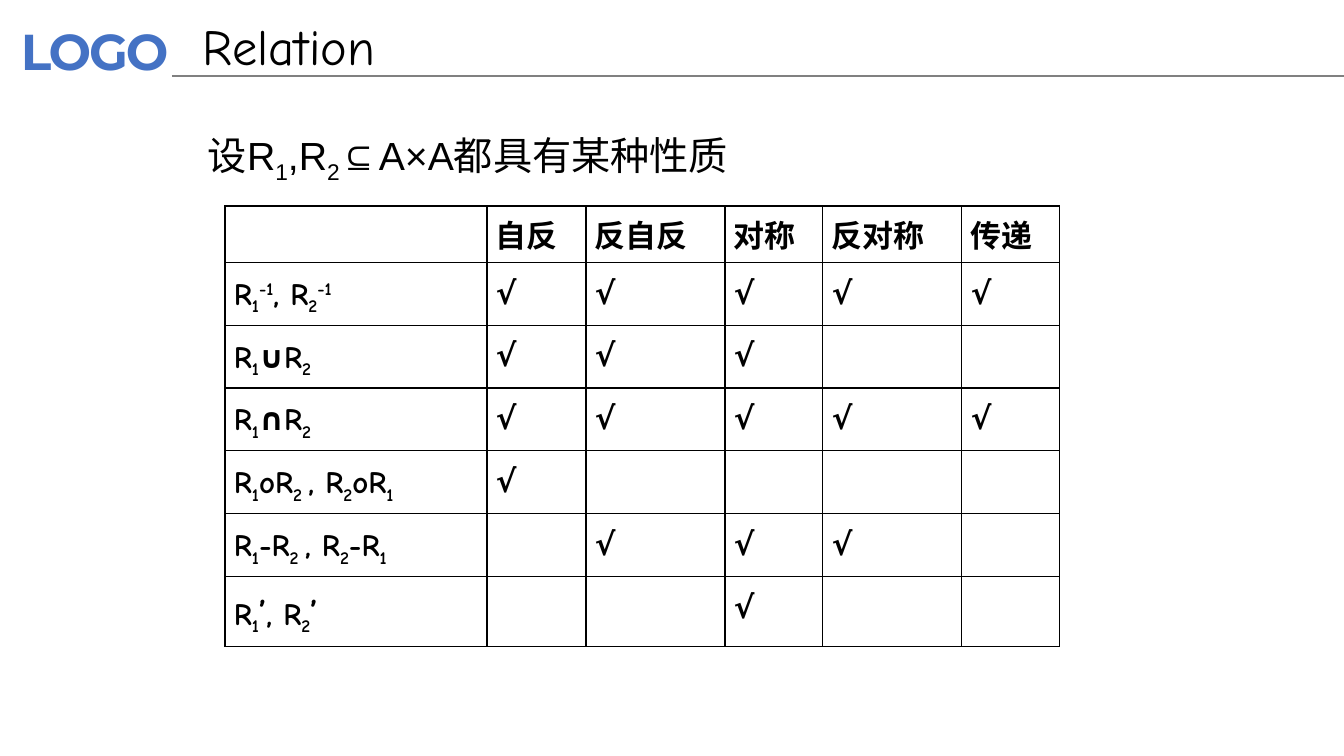
from dataclasses import dataclass

from lxml.etree import SubElement
from pptx import Presentation
from pptx.dml.color import RGBColor
from pptx.enum.shapes import MSO_CONNECTOR
from pptx.oxml.ns import qn
from pptx.util import Emu, Pt

BLACK = RGBColor(0x00, 0x00, 0x00)
GRAY = RGBColor(0x80, 0x80, 0x80)
BLUE = RGBColor(0x44, 0x72, 0xC4)
CJK = "Noto Sans CJK SC"
CHECK = "√"


def px(n: int) -> Emu:
    """Turn pixels into EMU."""
    return Emu(round(n * 914400 / 100.8))


@dataclass(frozen=True)
class Font:
    """Look of a run of text."""
    latin: str
    size: float
    east: str
    color: RGBColor = BLACK
    bold: bool = False
    spacing: int = 0


@dataclass(frozen=True)
class Box:
    """Text box; its text is split into runs by bars."""
    left: int
    top: int
    width: int
    height: int
    text: str
    font: Font
    inset: tuple[int, int] = (10, 5)
    indent: int = 0
    line_spacing: float | None = None
    before: int = 0


@dataclass(frozen=True)
class Row:
    """Table row: a label and the properties it keeps."""
    height: int
    label: str
    marks: tuple[bool, ...]


COMIC = "Comic Neue"
TABLE_FONT = Font(COMIC, 22.1, COMIC, bold=True)
PRIME_SIZE = 25.9
BASELINES = {"_": -25000, "^": 30000}

BOXES = [
    Box(8, 13, 187, 75, "LOGO",
        Font("Montserrat", 36, "Montserrat", BLUE, True, -150), (13, 7)),
    Box(193, 10, 635, 72, "Relation", Font(COMIC, 36, COMIC)),
    Box(173, 127, 939, 489, "设R|_1|,R|_2|⊆A×A都具有某种性质",
        Font("Arial", 28, CJK), indent=25, line_spacing=0.9, before=10),
]

PROPERTIES = ["自反", "反自反", "对称", "反对称", "传递"]
COL_WIDTHS = [262, 99, 139, 98, 139, 98]
HEADER_HEIGHT = 56
ROWS = [
    Row(62, "R|_1|^-1|, R|_2|^-1", (True, True, True, True, True)),
    Row(62, "R|_1|∪R|_2", (True, True, True, False, False)),
    Row(62, "R|_1|∩R|_2", (True, True, True, True, True)),
    Row(62, "R|_1|oR|_2 |, R|_2|oR|_1", (True, False, False, False, False)),
    Row(62, "R|_1|-R|_2 |, R|_2|-R|_1", (False, True, True, True, False)),
    Row(70, "R|_1|’|, R|_2|’", (False, False, True, False, False)),
]


def add_runs(p, text: str, font: Font) -> None:
    """Add runs split by bars; _ lowers a run and ^ raises it."""
    for part in text.split("|"):
        r = p.add_run()
        r.text = part.lstrip("_^")
        f = r.font
        f.name, f.bold = font.latin, font.bold
        f.size = Pt(PRIME_SIZE if part == "’" else font.size)
        f.color.rgb = font.color
        rPr = r._r.get_or_add_rPr()
        SubElement(rPr, qn("a:ea")).set("typeface", font.east)
        if part[0] in BASELINES:
            rPr.set("baseline", str(BASELINES[part[0]]))
        if font.spacing:
            rPr.set("spc", str(font.spacing))


def add_box(s, box: Box) -> None:
    """Add a text box with one paragraph."""
    sp = s.shapes.add_textbox(px(box.left), px(box.top),
                              px(box.width), px(box.height))
    tf = sp.text_frame
    tf.word_wrap = True
    tf.margin_left = tf.margin_right = px(box.inset[0])
    tf.margin_top = tf.margin_bottom = px(box.inset[1])
    p = tf.paragraphs[0]
    if box.line_spacing:
        p.line_spacing = box.line_spacing
        p.space_before = Pt(box.before)
    p._p.get_or_add_pPr().set("marL", str(px(box.indent)))
    add_runs(p, box.text, box.font)


def add_rule(s, left: int, right: int, y: int) -> None:
    """Add the line under the title."""
    line = s.shapes.add_connector(MSO_CONNECTOR.STRAIGHT,
                                  px(left), px(y), px(right), px(y))
    line.line.color.rgb = GRAY
    line.line.width = Pt(2)
    SubElement(line._element.spPr, qn("a:effectLst"))


def fill_cell(cell, text: str) -> None:
    """Give a cell its borders, margins and text."""
    tcPr = cell._tc.get_or_add_tcPr()
    for side in ("lnL", "lnR", "lnT", "lnB"):
        ln = SubElement(tcPr, qn(f"a:{side}"), w=str(Pt(1)))
        fill = SubElement(ln, qn("a:solidFill"))
        SubElement(fill, qn("a:srgbClr"), val=str(BLACK))
    cell.fill.background()
    cell.margin_left = cell.margin_right = px(9)
    cell.margin_top = cell.margin_bottom = px(5)
    if text:
        p = cell.text_frame.paragraphs[0]
        p.line_spacing = 1.25
        before = SubElement(p._p.get_or_add_pPr(), qn("a:spcBef"))
        SubElement(before, qn("a:spcPct"), val="20000")
        add_runs(p, text, TABLE_FONT)


def add_relation_table(s, left: int, top: int) -> None:
    """Add the table of properties kept by each operation."""
    heights = [HEADER_HEIGHT] + [row.height for row in ROWS]
    texts = [["", *PROPERTIES]]
    texts += [[row.label, *(CHECK if m else "" for m in row.marks)]
              for row in ROWS]
    table = s.shapes.add_table(len(heights), len(COL_WIDTHS), px(left), px(top),
                               px(sum(COL_WIDTHS)), px(sum(heights))).table
    table.first_row = table.horz_banding = False
    for column, width in zip(table.columns, COL_WIDTHS):
        column.width = px(width)
    for row, height, row_texts in zip(table.rows, heights, texts):
        row.height = px(height)
        for cell, text in zip(row.cells, row_texts):
            fill_cell(cell, text)


prs = Presentation()
prs.slide_width, prs.slide_height = px(1344), px(756)
s = prs.slides.add_slide(prs.slide_layouts[6])
add_rule(s, 172, 1344, 76)
for box in BOXES:
    add_box(s, box)
add_relation_table(s, 225, 206)
prs.save("out.pptx")
